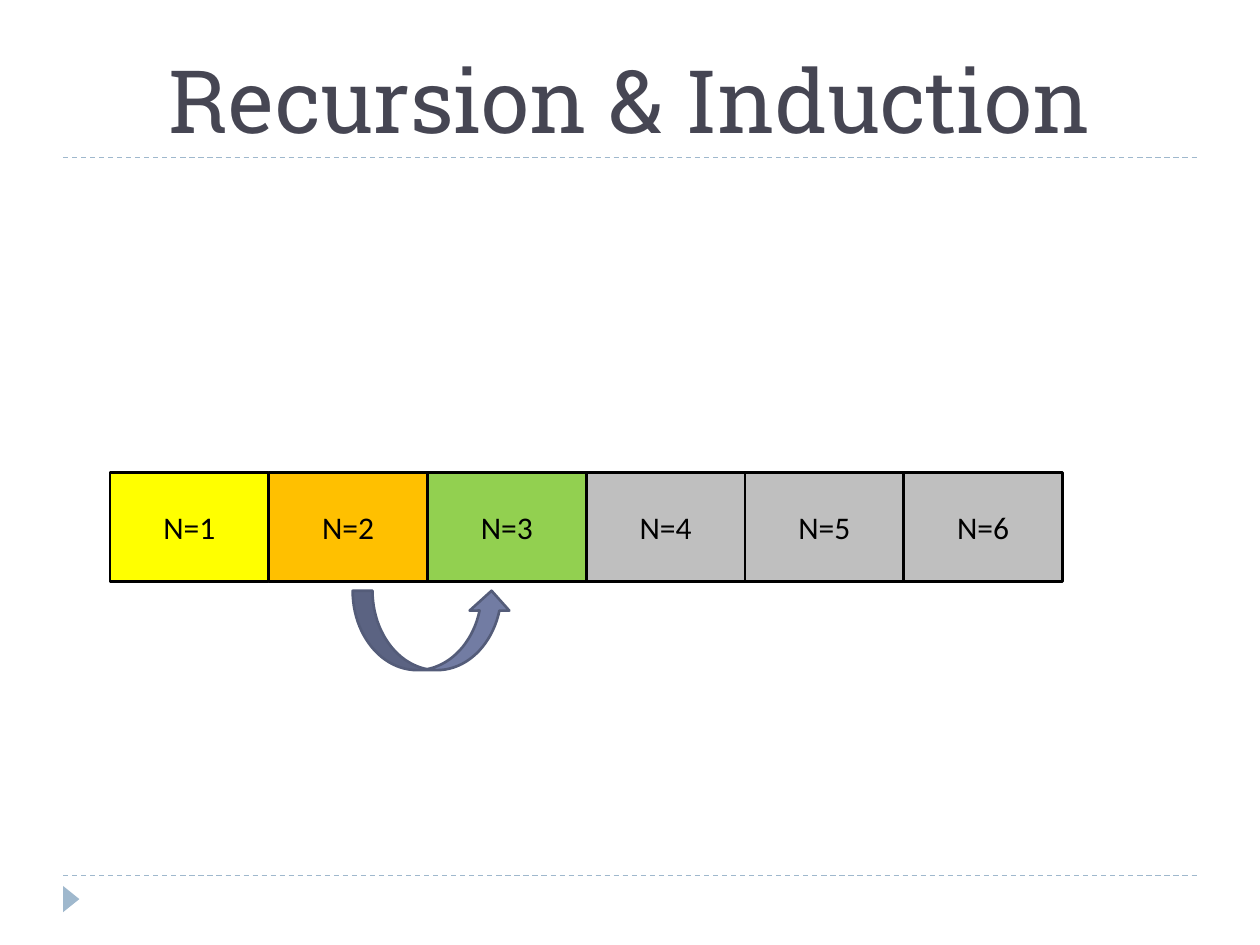
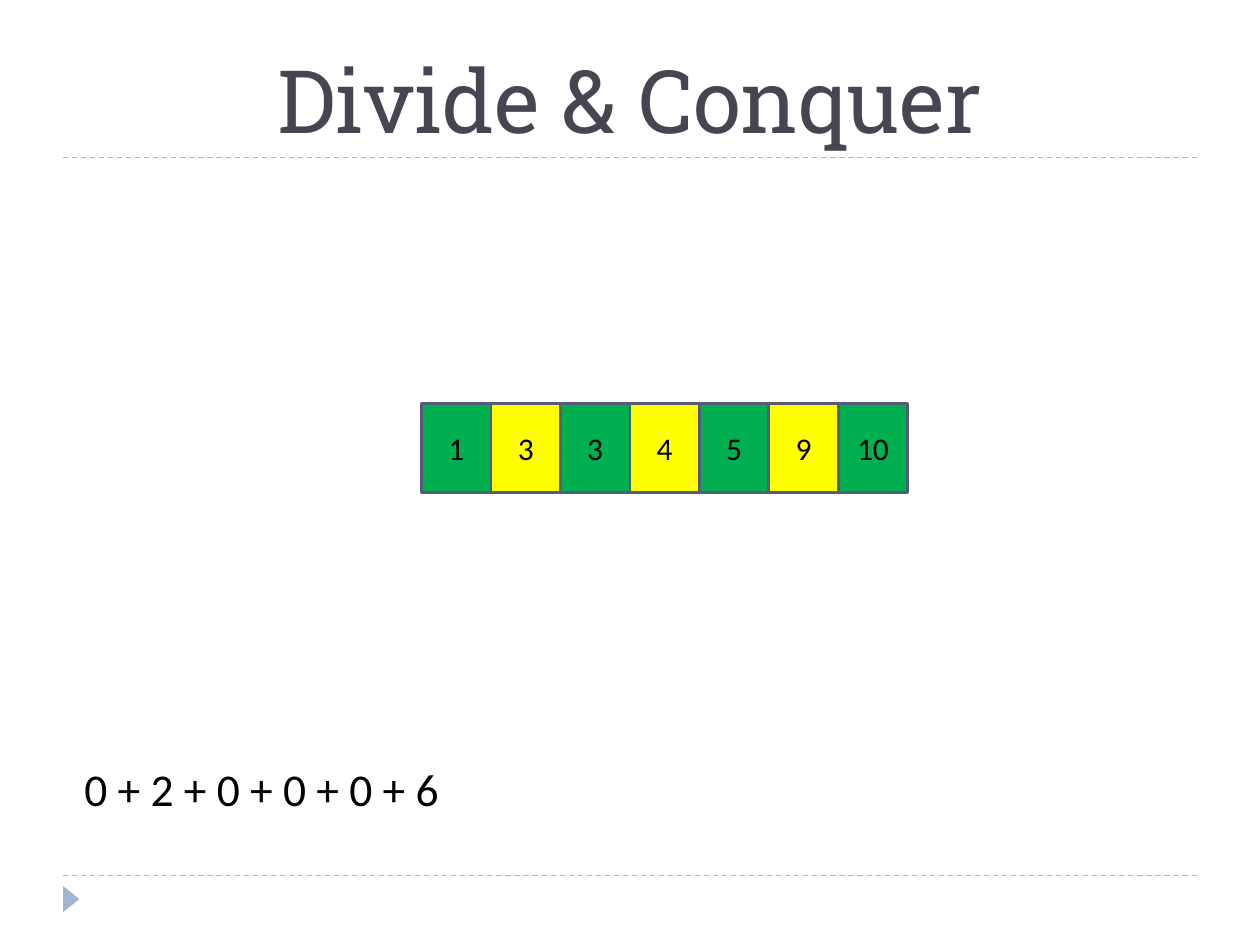
from pptx import Presentation
from pptx.dml.color import RGBColor
from pptx.enum.dml import MSO_LINE
from pptx.enum.shapes import MSO_CONNECTOR, MSO_SHAPE
from pptx.enum.text import MSO_ANCHOR, PP_ALIGN
from pptx.util import Cm, Pt
from lxml.etree import SubElement
from pptx.oxml.ns import qn

hues = {
    "ink": "464653", "black": "000000", "rule": "9FB8CD",
    "yellow": "FFFF00", "orange": "FFC000", "lime": "92D050",
    "gray": "BFBFBF", "green": "00B050", "blue": "727CA3", "edge": "545C79",
}


def draw(slide, kind, left, top, wide, high, fill, edge=None):
    shape = slide.shapes.add_shape(kind, Cm(left), Cm(top), Cm(wide), Cm(high))
    shape.shadow.inherit = False
    shape.fill.solid()
    shape.fill.fore_color.rgb = RGBColor.from_string(hues[fill])
    if edge:
        shape.line.color.rgb = RGBColor.from_string(hues[edge])
        shape.line.width = Pt(1.5)
    else:
        shape.line.fill.background()
    return shape


def write(shape, text, size, font="Calibri", hue="black",
          align=PP_ALIGN.CENTER, anchor=MSO_ANCHOR.MIDDLE):
    frame = shape.text_frame
    frame.word_wrap = True
    frame.vertical_anchor = anchor
    para = frame.paragraphs[0]
    para.alignment = align
    run = para.add_run()
    run.text = text
    run.font.size = Pt(size)
    run.font.name = font
    run.font.color.rgb = RGBColor.from_string(hues[hue])


deck = Presentation()
deck.slide_width, deck.slide_height = Cm(25.4), Cm(19.05)

pages = []
for title in ("Recursion & Induction", "Divide & Conquer"):
    slide = deck.slides.add_slide(deck.slide_layouts[6])
    for y in (17.65, 3.17):
        rule = slide.shapes.add_connector(
            MSO_CONNECTOR.STRAIGHT, Cm(1.27), Cm(y), Cm(24.13), Cm(y))
        rule.line.color.rgb = RGBColor.from_string(hues["rule"])
        rule.line.width = Pt(0.75)
        rule.line.dash_style = MSO_LINE.DASH
        SubElement(rule._element.spPr, qn("a:effectLst"))
    mark = draw(slide, MSO_SHAPE.ISOSCELES_TRIANGLE, 1.17, 17.96, 0.53, 0.33, "rule")
    mark.rotation = 90
    head = slide.shapes.add_textbox(Cm(1.27), Cm(0.43), Cm(22.86), Cm(2.74))
    write(head, title, 50, "Roboto Slab", "ink", anchor=MSO_ANCHOR.BOTTOM)
    pages.append(slide)

first, second = pages

fills = ["yellow", "orange", "lime"] + ["gray"] * 3
for i, fill in enumerate(fills):
    cell = draw(first, MSO_SHAPE.RECTANGLE, 2.22 + 3.2 * i, 9.53, 3.2, 2.2, fill, "black")
    write(cell, f"N={i + 1}", 18)
draw(first, MSO_SHAPE.CURVED_UP_ARROW, 7.11, 11.91, 3.2, 1.6, "blue", "edge")

for i, value in enumerate((1, 3, 3, 4, 5, 9, 10)):
    fill = ("green", "yellow")[i % 2]
    cell = draw(second, MSO_SHAPE.RECTANGLE, 8.5 + 1.4 * i, 8.13, 1.4, 1.8, fill, "edge")
    write(cell, str(value), 18)
total = second.shapes.add_textbox(Cm(1.45), Cm(15.2), Cm(10), Cm(1.4))
write(total, "0 + 2 + 0 + 0 + 0 + 6", 26, align=PP_ALIGN.LEFT)

deck.save("out.pptx")
